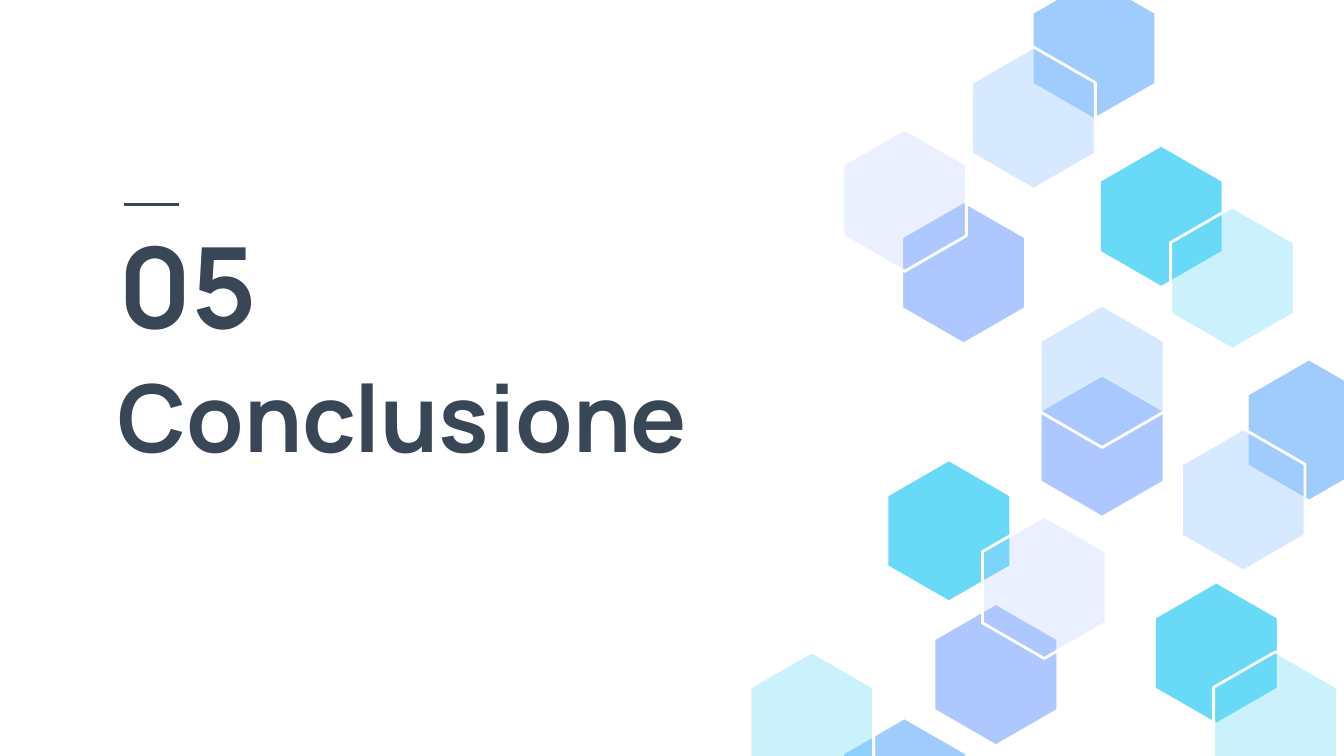
import pptx
import pptx.dml.color
import pptx.enum.shapes
import pptx.enum.text
import pptx.oxml.ns
import pptx.util
import lxml.etree

Inches = pptx.util.Inches
Anchor = pptx.enum.text.MSO_ANCHOR

# Content: text, box (left, top, width, height), size key, anchor
TEXTS = [
    ("Conclusione", (0.78, 2.61, 5.2, 1), "title", Anchor.BOTTOM),
    ("05", (0.78, 1.61, 1.38, 1), "number", Anchor.MIDDLE),
]

# Hexagons from back to front: left, top, tint
HEXES = [
    (7.74, 2.79, "violet"), (7.68, -0.17, "blue"), (7.23, 0.35, "pale blue"),
    (6.71, 1.5, "violet"), (6.27, 0.96, "pale violet"), (8.18, 1.08, "cyan"),
    (7.74, 2.27, "pale blue"), (8.71, 1.54, "pale cyan"), (6.6, 3.42, "cyan"),
    (6.95, 4.49, "violet"), (6.27, 5.34, "blue"), (7.31, 3.84, "pale violet"),
    (5.58, 4.85, "pale cyan"), (9.28, 2.67, "blue"), (8.79, 3.19, "pale blue"),
    (8.59, 4.33, "cyan"), (9.03, 4.85, "pale cyan"),
]
HEX_WIDTH, HEX_HEIGHT = 0.92, 1.06
RULE = (0.92, 1.52, 1.33, 1.52)
WIDTH = 10
HEIGHT = WIDTH * 9 / 16

THEME = {
    "font": "Manrope",
    "ink": "384655",
    "edge": "FFFFFF",
    "line": 1.5,
    "sizes": {"title": 50, "number": 60},
    # colour and opacity in percent
    "tints": {
        "violet": ("AFC7FF", 100), "pale violet": ("AFC7FF", 25),
        "blue": ("9FCBFD", 100), "pale blue": ("9FCBFD", 41),
        "cyan": ("68DAF8", 100), "pale cyan": ("68DAF8", 34),
    },
}


def paint(fill, tint, alpha=100):
    fill.solid()
    fill.fore_color.rgb = pptx.dml.color.RGBColor.from_string(tint)
    if alpha < 100:
        color = fill._xPr.find(".//" + pptx.oxml.ns.qn("a:srgbClr"))
        node = lxml.etree.SubElement(color, pptx.oxml.ns.qn("a:alpha"))
        node.set("val", str(alpha * 1000))


def stroke(line, tint):
    paint(line.fill, tint)
    line.width = pptx.util.Pt(THEME["line"])


def apply(target, values):
    for name, value in values.items():
        setattr(target, name, value)


def add_text(shapes, text, box, size, anchor):
    frame = shapes.add_textbox(*map(Inches, box)).text_frame
    pad = Inches(0.1)
    apply(frame, {
        "text": text, "word_wrap": True, "vertical_anchor": anchor,
        "margin_left": pad, "margin_right": pad,
        "margin_top": pad, "margin_bottom": pad,
    })
    font = frame.paragraphs[0].runs[0].font
    apply(font, {"name": THEME["font"], "bold": True,
                 "size": pptx.util.Pt(THEME["sizes"][size])})
    paint(font.fill, THEME["ink"])


def add_hex(shapes, left, top, tint):
    mid, right = left + HEX_WIDTH / 2, left + HEX_WIDTH
    high, low = top + HEX_HEIGHT / 4, top + HEX_HEIGHT * 3 / 4
    points = [(mid, top), (left, high), (left, low),
              (mid, top + HEX_HEIGHT), (right, low), (right, high)]
    first, *rest = [(Inches(x), Inches(y)) for x, y in points]
    path = shapes.build_freeform(*first)
    path.add_line_segments(rest, close=True)
    shape = path.convert_to_shape()
    shape.shadow.inherit = False
    paint(shape.fill, *THEME["tints"][tint])
    stroke(shape.line, THEME["edge"])


def main():
    deck = pptx.Presentation()
    apply(deck, {"slide_width": Inches(WIDTH), "slide_height": Inches(HEIGHT)})
    slide = deck.slides.add_slide(deck.slide_layouts[6])

    # Section number and title
    for item in TEXTS:
        add_text(slide.shapes, *item)

    # Hexagon cluster
    group = slide.shapes.add_group_shape()
    for item in HEXES:
        add_hex(group.shapes, *item)

    # Short rule above the number
    rule = slide.shapes.add_connector(
        pptx.enum.shapes.MSO_CONNECTOR.STRAIGHT, *map(Inches, RULE))
    stroke(rule.line, THEME["ink"])
    lxml.etree.SubElement(rule._element.spPr, pptx.oxml.ns.qn("a:effectLst"))

    deck.save("out.pptx")


if __name__ == "__main__":
    main()
